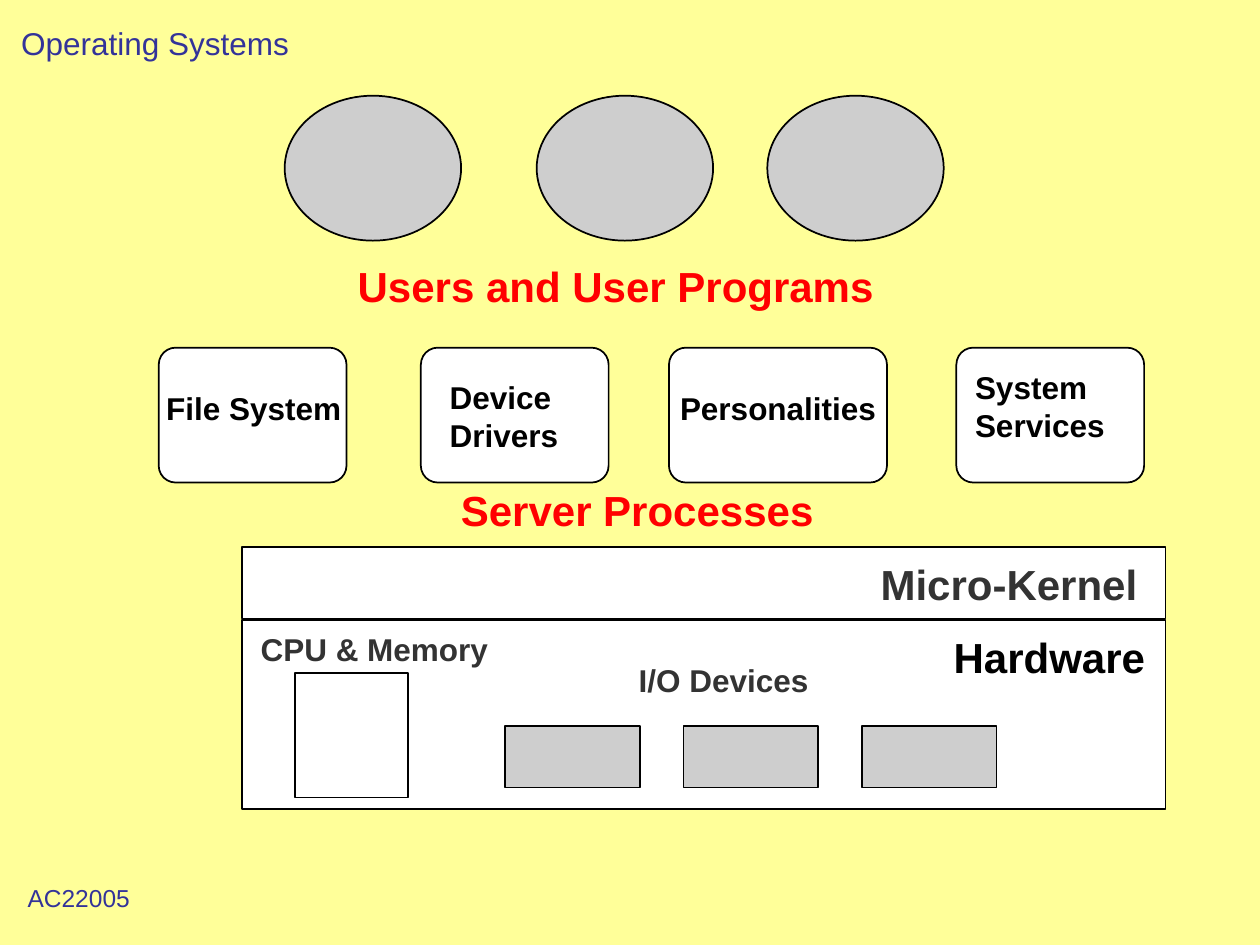
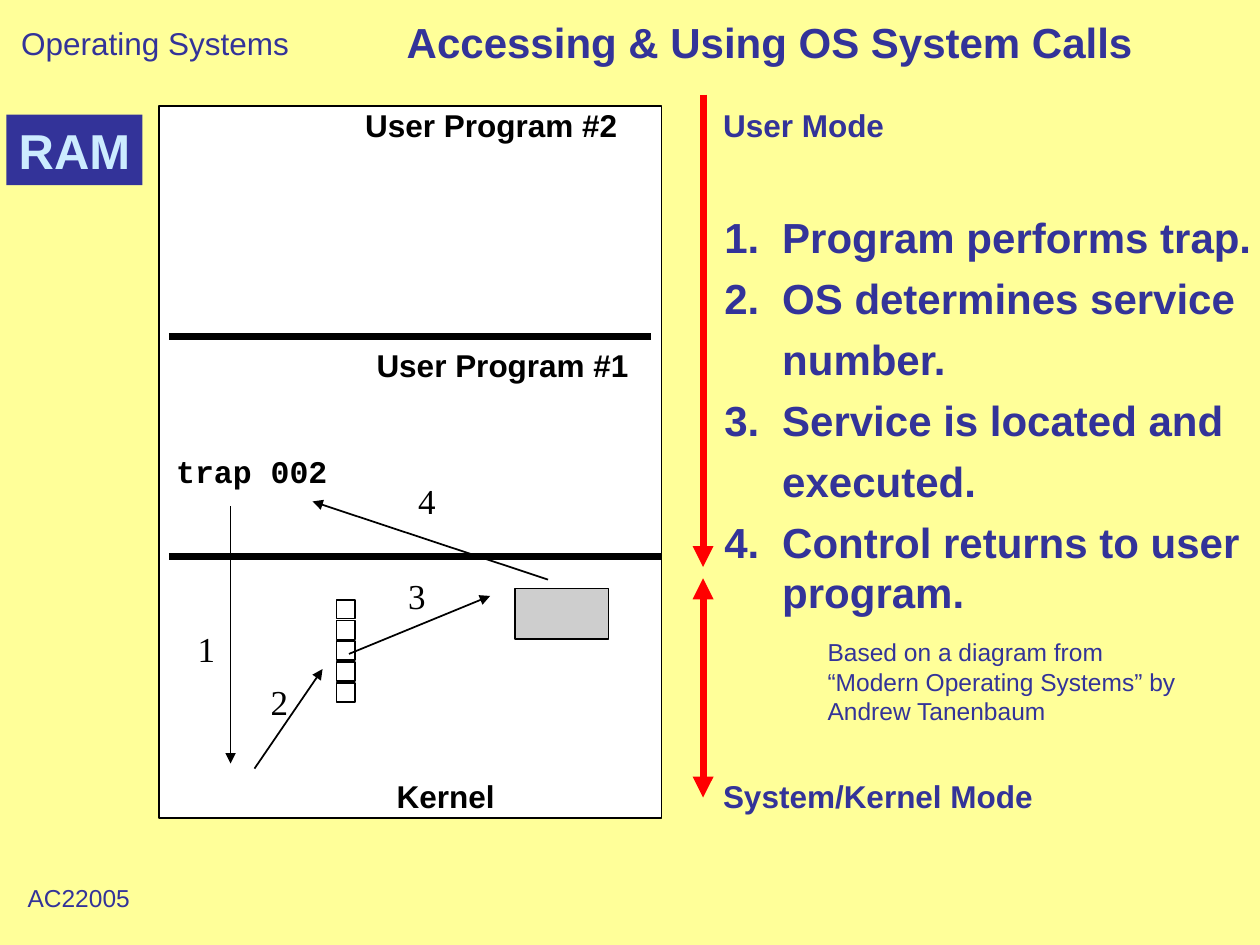
from lxml import etree
from pptx import Presentation
from pptx import util as u
from pptx.dml.color import RGBColor
from pptx.enum import shapes, text
from pptx.oxml import ns

COLORS = {
    "page": "FFFF99", "navy": "333399", "ice": "CCECFF", "red": "FF0000",
    "black": "000000", "white": "FFFFFF", "grey": "CECECE", "dark": "333333",
}
KINDS = shapes.MSO_SHAPE


def color(name):
    return RGBColor.from_string(COLORS[name])


def write(frame, lines, size=18, ink="black", bold=True, font="Arial", centered=False):
    frame.word_wrap = True
    frame.auto_size = text.MSO_AUTO_SIZE.NONE
    frame.vertical_anchor = text.MSO_ANCHOR.TOP
    frame.margin_left = u.Inches(0 if centered else 0.1)
    frame.margin_right = 0
    for index, line in enumerate(lines.split("\n")):
        paragraph = frame.paragraphs[0] if index == 0 else frame.add_paragraph()
        paragraph.text = line
        paragraph.alignment = text.PP_ALIGN.CENTER if centered else text.PP_ALIGN.LEFT
        for run in paragraph.runs:
            run.font.name = font
            run.font.size = u.Pt(size)
            run.font.bold = bold
            run.font.color.rgb = color(ink)


class Deck:
    def __init__(self):
        self.presentation = Presentation()
        self.presentation.slide_width = u.Inches(10)
        self.presentation.slide_height = u.Inches(7.5)
        self.slide = None

    def new_slide(self):
        self.slide = self.presentation.slides.add_slide(self.presentation.slide_layouts[6])
        fill = self.slide.background.fill
        fill.solid()
        fill.fore_color.rgb = color("page")
        self.label("Operating Systems", 0.07, 0.14, 2.32, 0.4, ink="navy", bold=False)
        self.label("AC22005", 0.12, 6.96, 1.01, 0.33, size=14, ink="navy", bold=False)

    def label(self, lines, left, top, width, height=0.4, **style):
        box = self.slide.shapes.add_textbox(*map(u.Inches, (left, top, width, height)))
        write(box.text_frame, lines, **style)
        return box

    def shape(self, kind, left, top, width, height, fill="white", outline=True):
        shape = self.slide.shapes.add_shape(kind, *map(u.Inches, (left, top, width, height)))
        shape.shadow.inherit = False
        shape.fill.solid()
        shape.fill.fore_color.rgb = color(fill)
        if outline:
            shape.line.color.rgb = color("black")
            shape.line.width = u.Pt(1)
        else:
            shape.line.fill.background()
        return shape

    def line(self, start, end, ink="black", weight=1, heads=()):
        connector = self.slide.shapes.add_connector(
            shapes.MSO_CONNECTOR.STRAIGHT, *map(u.Inches, start + end))
        connector.line.color.rgb = color(ink)
        connector.line.width = u.Pt(weight)
        outline = connector.line._get_or_add_ln()
        for head in heads:
            etree.SubElement(outline, ns.qn(f"a:{head}"), type="triangle")
        etree.SubElement(connector._element.spPr, ns.qn("a:effectLst"))

    def steps(self, items, left, top, width, height, indent, **style):
        lines = [line for item in items for line in item]
        frame = self.label("\n".join(lines), left, top, width, height, **style).text_frame
        paragraphs = iter(frame.paragraphs)
        for number, item in enumerate(items, 1):
            for position, _ in enumerate(item):
                paragraph = next(paragraphs)
                properties = paragraph._p.get_or_add_pPr()
                properties.set("marL", str(u.Inches(indent)))
                if position == 0:
                    properties.set("indent", str(-u.Inches(indent)))
                    etree.SubElement(properties, ns.qn("a:buFont"), typeface="Arial")
                    etree.SubElement(properties, ns.qn("a:buAutoNum"),
                                     type="arabicPeriod", startAt=str(number))
                else:
                    properties.set("indent", "0")
                if number < len(items):
                    paragraph.space_after = u.Pt(6)


def build_micro_kernel(deck):
    deck.new_slide()
    for left in (2.26, 4.26, 6.09):
        deck.shape(KINDS.OVAL, left, 0.76, 1.4, 1.15, "grey")
    deck.label("Users and User Programs", 2.74, 2.02, 4.29, 0.5, size=24, ink="red")

    for left, width in ((1.26, 1.49), (3.34, 1.49), (5.31, 1.73), (7.59, 1.49)):
        server = deck.shape(KINDS.ROUNDED_RECTANGLE, left, 2.76, width, 1.07)
        server.adjustments[0] = 0.125
    deck.label("File System", 1.22, 3.04, 1.59)
    deck.label("Device\nDrivers", 3.47, 2.95, 1.07, 0.7)
    deck.label("Personalities", 5.3, 3.04, 1.75, centered=True)
    services = deck.shape(KINDS.RECTANGLE, 7.64, 2.87, 1.23, 0.7, outline=False)
    write(services.text_frame, "System\nServices")
    deck.label("Server Processes", 3.56, 3.8, 3, 0.5, size=24, ink="red")

    deck.shape(KINDS.RECTANGLE, 1.92, 4.92, 7.33, 1.5)
    deck.shape(KINDS.RECTANGLE, 1.92, 4.34, 7.33, 0.57)
    deck.label("Micro-Kernel", 6.89, 4.38, 2.24, 0.5, size=24, ink="dark")
    deck.label("Hardware", 7.47, 4.96, 1.72, 0.5, size=24)
    deck.shape(KINDS.RECTANGLE, 2.34, 5.34, 0.9, 0.99)
    deck.label("CPU & Memory", 1.97, 4.95, 2, ink="dark")
    deck.label("I/O Devices", 4.97, 5.2, 1.55, ink="dark")
    for device in range(3):
        deck.shape(KINDS.RECTANGLE, 4.01 + 2.83 * device / 2, 5.76, 1.07, 0.49, "grey")


def build_system_calls(deck):
    deck.new_slide()
    deck.label("Accessing & Using OS System Calls", 3.13, 0.08, 6.8, 0.5,
               size=24, ink="navy")
    ram = deck.shape(KINDS.RECTANGLE, 0.05, 0.91, 1.08, 0.56, "navy", outline=False)
    write(ram.text_frame, "RAM", size=28, ink="ice")

    deck.shape(KINDS.RECTANGLE, 1.26, 0.84, 3.99, 5.65)
    deck.line((1.34, 2.67), (5.17, 2.67), weight=4)
    deck.line((1.34, 4.42), (5.25, 4.42), weight=4)
    deck.label("User Program #2", 2.8, 0.79, 2.2)
    deck.label("User Program #1", 2.89, 2.7, 2.2)
    deck.label("trap 002", 1.3, 3.54, 1.4, font="Courier New")
    deck.label("Kernel", 3.05, 6.12, 0.98)

    for row in range(5):
        deck.shape(KINDS.RECTANGLE, 2.67, 4.76 + 0.66 * row / 4, 0.15, 0.15)
    deck.shape(KINDS.RECTANGLE, 4.09, 4.67, 0.74, 0.4, "grey")

    calls = [
        ((1.83, 4.02), (1.83, 6.06), (1.47, 4.93)),
        ((2.02, 6.1), (2.56, 5.31), (2.05, 5.35)),
        ((2.77, 5.19), (3.89, 4.73), (3.14, 4.51)),
        ((4.35, 4.6), (2.48, 3.98), (3.22, 3.76)),
    ]
    for number, (start, end, place) in enumerate(calls, 1):
        deck.line(start, end, heads=["tailEnd"])
        deck.label(str(number), *place, 0.34, 0.43, size=20, bold=False,
                   font="Times New Roman")

    deck.line((5.58, 0.75), (5.58, 4.5), "red", 4, ["tailEnd"])
    deck.line((5.58, 4.59), (5.58, 6.33), "red", 4, ["headEnd", "tailEnd"])
    deck.label("User Mode", 5.64, 0.79, 1.48, ink="navy")
    deck.label("System/Kernel Mode", 5.64, 6.12, 2.66, ink="navy")
    deck.steps([
        ["Program performs trap."],
        ["OS determines service", "number."],
        ["Service is located and", "executed."],
        ["Control returns to user", "program."],
    ], 5.65, 1.63, 4.35, 3.71, indent=0.46, size=24, ink="navy")
    deck.label("Based on a diagram from\n“Modern Operating Systems” by\nAndrew Tanenbaum",
               6.47, 5.01, 2.96, 0.8, size=14, ink="navy", bold=False)


def main():
    deck = Deck()
    build_micro_kernel(deck)
    build_system_calls(deck)
    deck.presentation.save("out.pptx")


if __name__ == "__main__":
    main()
